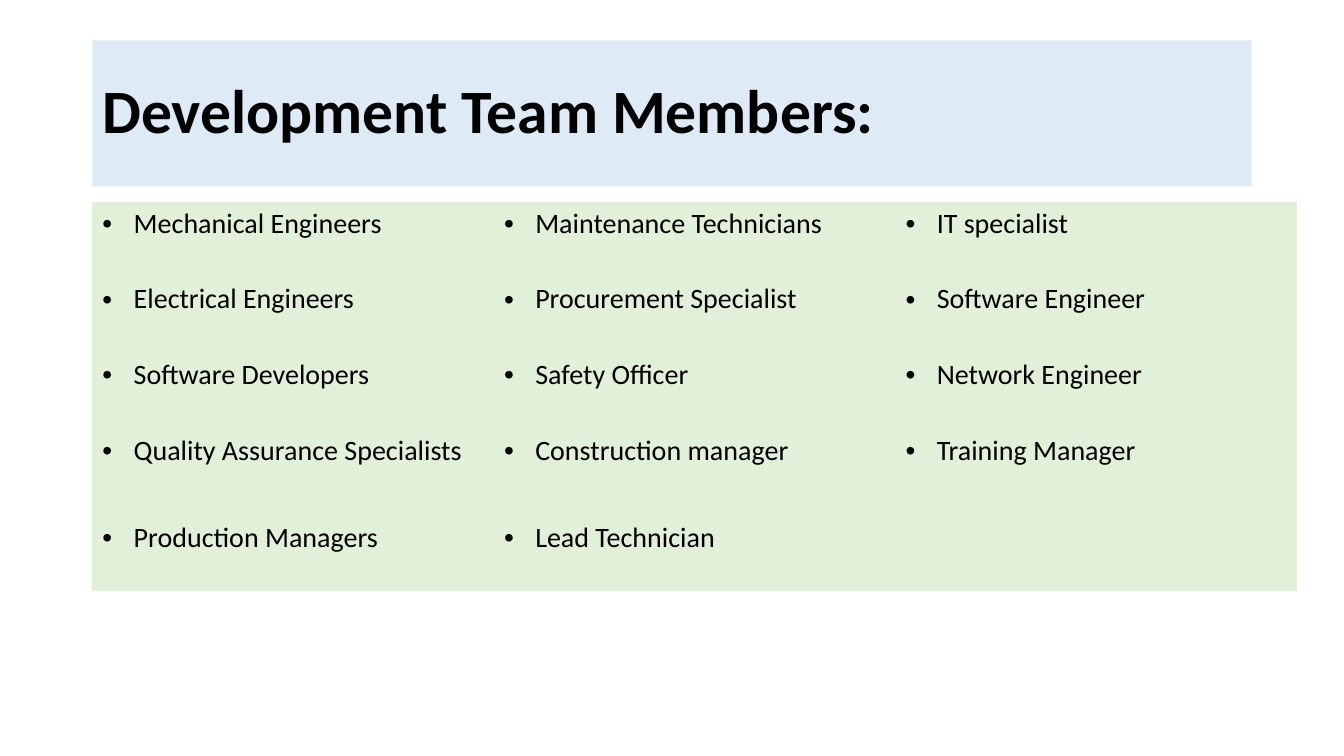
from lxml import etree
from pptx import Presentation
from pptx.dml.color import RGBColor
from pptx.enum.text import MSO_ANCHOR
from pptx.oxml.ns import qn
from pptx.util import Inches, Pt

MIDDLE = MSO_ANCHOR.MIDDLE
BLACK = RGBColor(0x00, 0x00, 0x00)
PALE_BLUE = RGBColor(0xDE, 0xEB, 0xF7)
PALE_GREEN = RGBColor(0xE2, 0xF0, 0xD9)
GRID_COLUMNS, GRID_ROWS = 160, 90
LEFT = 11
TEAM_COLUMN = 47.8
TEAM_ROWS = [9, 9, 9, 10.4, 9]
TEAM = [
    ["Mechanical Engineers", "Maintenance Technicians", "IT specialist"],
    ["Electrical Engineers", "Procurement Specialist", "Software Engineer"],
    ["Software Developers", "Safety Officer", "Network Engineer"],
    ["Quality Assurance Specialists", "Construction manager", "Training Manager"],
    ["Production Managers", "Lead Technician", ""],
]


def write_text(para, text, size=20, bold=False, color=BLACK, font="Calibri", bullet=False, spacing=None):
    """Write one formatted run into a paragraph."""
    if bullet:
        properties = para._p.get_or_add_pPr()
        properties.set("marL", str(Inches(0.31)))
        properties.set("indent", str(Inches(-0.31)))
        etree.SubElement(properties, qn("a:buFont"), typeface="Arial")
        etree.SubElement(properties, qn("a:buChar"), char="•")
    if spacing:
        para.line_spacing = spacing
    span = para.add_run()
    span.text = text
    span.font.name = font
    span.font.size = Pt(size)
    span.font.bold = bold
    span.font.color.rgb = color


class TeamPage:
    """Hold the grid and the current slide and draw its elements."""

    def __init__(self, deck):
        """Add a blank slide and measure its grid."""
        self.page = deck.slides.add_slide(deck.slide_layouts[6])
        self.column = deck.slide_width / GRID_COLUMNS
        self.row = deck.slide_height / GRID_ROWS

    def place(self, left, top, width, height):
        """Turn grid units into slide lengths."""
        return (round(left * self.column), round(top * self.row),
                round(width * self.column), round(height * self.row))

    def title(self, text, left, top, width, height):
        """Draw the filled heading band."""
        box = self.page.shapes.add_textbox(*self.place(left, top, width, height))
        box.fill.solid()
        box.fill.fore_color.rgb = PALE_BLUE
        box.text_frame.word_wrap = True
        box.text_frame.vertical_anchor = MIDDLE
        write_text(box.text_frame.paragraphs[0], text, size=44, bold=True, spacing=0.9)

    def cell(self, cell, text):
        """Fill one borderless cell with a bulleted role."""
        properties = cell._tc.get_or_add_tcPr()
        for side in ("a:lnL", "a:lnR", "a:lnT", "a:lnB"):
            border = etree.SubElement(properties, qn(side), w="0")
            etree.SubElement(border, qn("a:noFill"))
        cell.fill.solid()
        cell.fill.fore_color.rgb = PALE_GREEN
        if text:
            write_text(cell.text_frame.paragraphs[0], text, bullet=True)

    def table(self, rows, left, top, column_width, row_heights):
        """Draw the grid of roles."""
        columns = len(rows[0])
        area = self.place(left, top, column_width * columns, sum(row_heights))
        table = self.page.shapes.add_table(len(rows), columns, *area).table
        table.first_row = False
        table.horz_banding = False
        for column in table.columns:
            column.width = round(column_width * self.column)
        for row, height, texts in zip(table.rows, row_heights, rows):
            row.height = round(height * self.row)
            for cell, text in zip(row.cells, texts):
                self.cell(cell, text)


def main():
    """Build and save the slide."""
    deck = Presentation()
    deck.slide_width, deck.slide_height = Inches(13.33), Inches(7.5)
    page = TeamPage(deck)
    page.title("Development Team Members:", LEFT, 4.8, 138, 17.4)
    page.table(TEAM, LEFT, 24, TEAM_COLUMN, TEAM_ROWS)
    deck.save("out.pptx")


if __name__ == "__main__":
    main()
